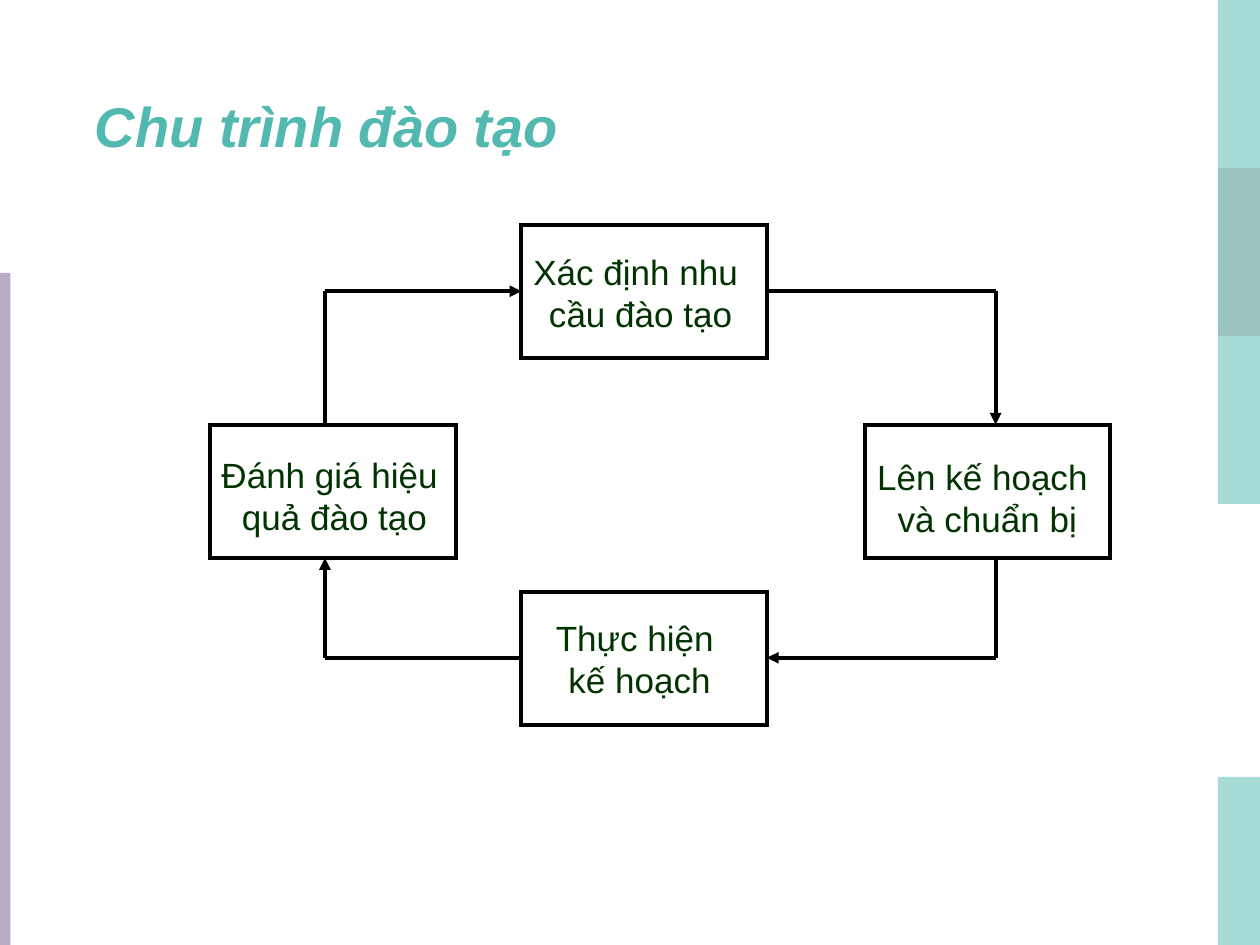
import pptx
import pptx.util
import pptx.dml.color
import pptx.enum.shapes
import pptx.enum.text
import pptx.oxml.ns
import lxml.etree

Cm = pptx.util.Cm
Pt = pptx.util.Pt
RGB = pptx.dml.color.RGBColor
Align = pptx.enum.text.PP_ALIGN
qn = pptx.oxml.ns.qn

TEAL = RGB(0x51, 0xB9, 0xAF)
DEEP = RGB(0x39, 0x8D, 0x85)
LILAC = RGB(0xB8, 0xAC, 0xC6)
GREEN = RGB(0x00, 0x33, 0x00)
BLACK = RGB(0, 0, 0)
WHITE = RGB(255, 255, 255)


class Sketch:
    face = "Arial"
    stroke = Pt(2.24)

    def __init__(self, slide):
        self.shapes = slide.shapes

    def rect(self, left, top, width, height, fill, edge=None, alpha=None):
        kind = pptx.enum.shapes.MSO_SHAPE.RECTANGLE
        rect = self.shapes.add_shape(kind, Cm(left), Cm(top), Cm(width), Cm(height))
        rect.shadow.inherit = False
        rect.fill.solid()
        rect.fill.fore_color.rgb = fill
        if alpha:
            color = rect.fill._xPr.find(qn("a:solidFill"))[0]
            lxml.etree.SubElement(color, qn("a:alpha")).set("val", str(alpha * 1000))
        if edge is None:
            rect.line.fill.background()
        else:
            rect.line.color.rgb = edge
            rect.line.width = self.stroke
            miter = lxml.etree.SubElement(rect.line._get_or_add_ln(), qn("a:miter"))
            miter.set("lim", "800000")

    def line(self, start, end, arrow):
        kind = pptx.enum.shapes.MSO_CONNECTOR.STRAIGHT
        line = self.shapes.add_connector(kind, *map(Cm, start + end))
        line.line.color.rgb = BLACK
        line.line.width = self.stroke
        if arrow:
            tail = lxml.etree.SubElement(line.line._get_or_add_ln(), qn("a:tailEnd"))
            tail.set("type", "triangle")
        lxml.etree.SubElement(line._element.spPr, qn("a:effectLst"))

    def bend(self, start, turn, end):
        self.line(start, turn, False)
        self.line(turn, end, True)

    def text(self, left, top, width, height, lines, size, color, align, wrap=False):
        frame = self.shapes.add_textbox(Cm(left), Cm(top), Cm(width), Cm(height)).text_frame
        frame.word_wrap = wrap
        frame.text = "\n".join(lines)
        for par in frame.paragraphs:
            par.alignment = align
            par.font.name = self.face
            par.font.size = Pt(size)
            par.font.color.rgb = color
        return frame

    def title(self, words):
        frame = self.text(1.35, 1.88, 21.16, 11.43, [words], 32, TEAL, Align.JUSTIFY, True)
        par = frame.paragraphs[0]
        par.font.bold = par.font.italic = True
        par.line_spacing = 0.9
        par.space_before = Pt(8)
        props = par._p.get_or_add_pPr()
        props.set("marL", str(Cm(1.02)))
        props.set("indent", str(Cm(-0.71)))

    def label(self, left, top, lines):
        frame = self.text(left, top, 4.65, 2.24, lines, 20, GREEN, Align.CENTER)
        frame.margin_left = frame.margin_right = 0
        frame.vertical_anchor = pptx.enum.text.MSO_ANCHOR.MIDDLE


deck = pptx.Presentation()
deck.slide_width, deck.slide_height = Cm(25.4), Cm(19.05)
sketch = Sketch(deck.slides.add_slide(deck.slide_layouts[6]))

BAND = 10.16 / 3
for top, color in ((0, TEAL), (BAND, DEEP), (2 * BAND, TEAL), (19.05 - BAND, TEAL)):
    sketch.rect(24.55, top, 0.85, BAND, color, alpha=50)
sketch.rect(0, 5.5, 0.21, 13.55, LILAC)
sketch.title("Chu trình đào tạo")

WIDE, HIGH = 4.95, 2.69
MID, SIDE = 10.51, 8.56
steps = (
    (MID, 4.53, 10.59, 4.78, ("Xác định nhu ", "cầu đào tạo")),
    (17.43, SIDE, 17.58, 8.9, ("Lên kế hoạch ", "và chuẩn bị")),
    (MID, 11.93, 10.57, 12.15, ("Thực hiện ", "kế hoạch")),
    (4.24, SIDE, 4.42, 8.86, ("Đánh giá hiệu ", "quả đào tạo")),
)
for left, top, *rest in steps:
    sketch.rect(left, top, WIDE, HIGH, WHITE, BLACK)

WEST, EAST, NORTH, SOUTH = 6.55, 20.07, 5.87, 13.26
sketch.bend((MID + WIDE, NORTH), (EAST, NORTH), (EAST, SIDE))
sketch.bend((EAST, SIDE + HIGH), (EAST, SOUTH), (MID + WIDE, SOUTH))
sketch.bend((MID, SOUTH), (WEST, SOUTH), (WEST, SIDE + HIGH))
sketch.bend((WEST, SIDE), (WEST, NORTH), (MID, NORTH))

for *box, left, top, lines in steps:
    sketch.label(left, top, lines)

deck.save("out.pptx")
